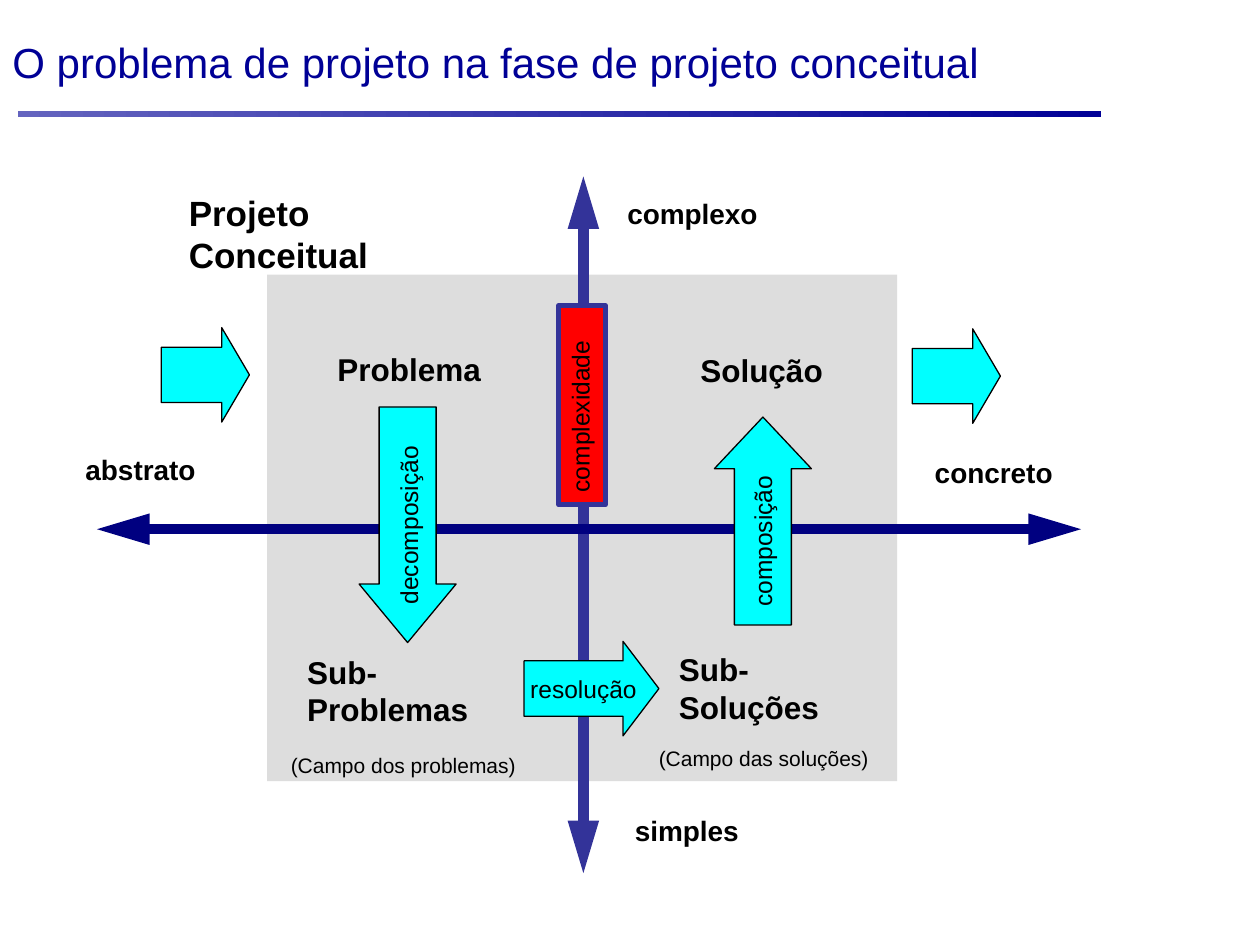
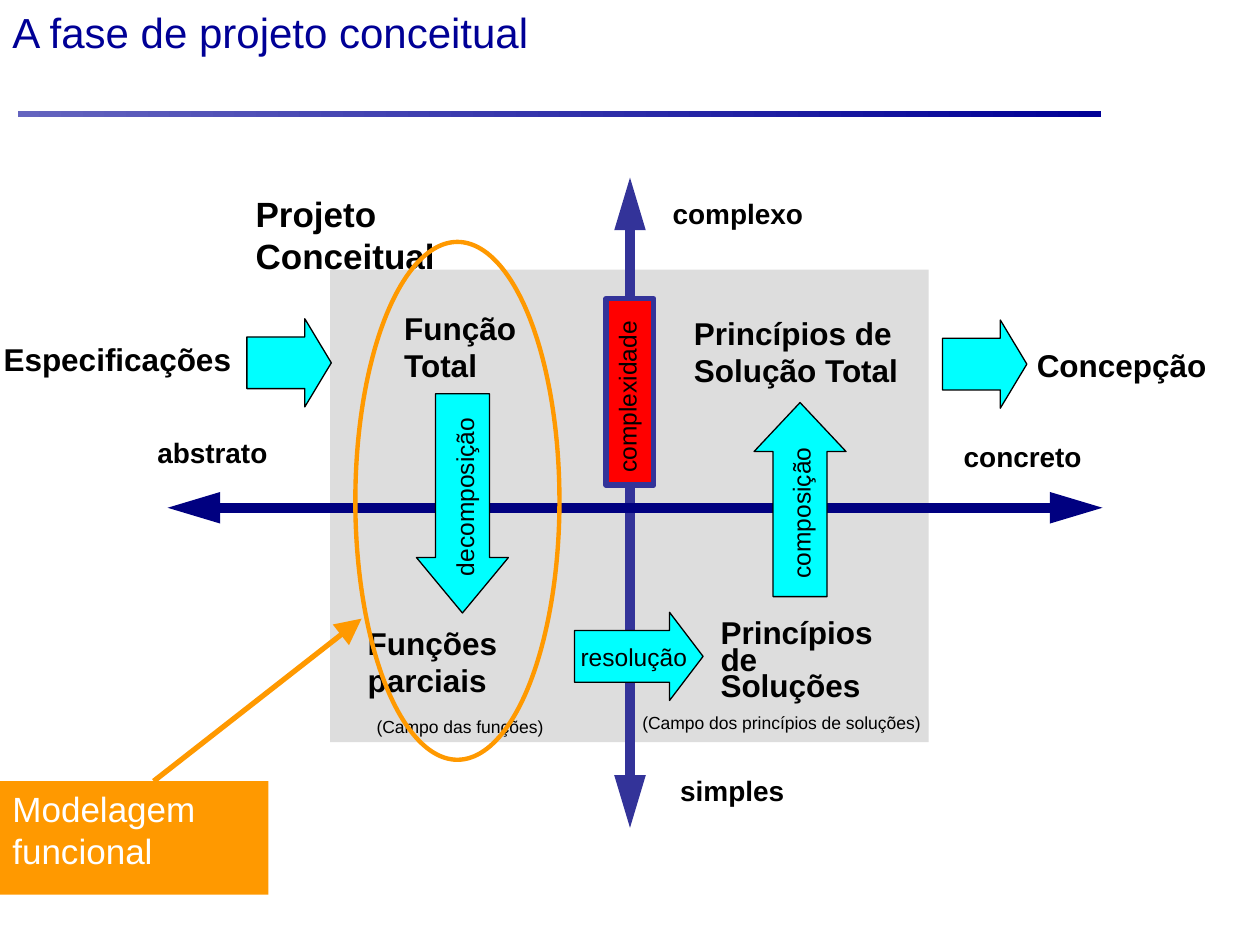
from pptx import Presentation
from pptx.util import Inches, Pt
from pptx.dml.color import RGBColor
from pptx.enum.shapes import MSO_SHAPE, MSO_CONNECTOR
from pptx.enum.text import MSO_ANCHOR, PP_ALIGN
from pptx.oxml.ns import qn
from lxml import etree

FONT = "Arial"
HUES = {
    "navy": "000096", "pale": "6464BF", "axis": "000080", "violet": "333399",
    "panel": "DDDDDD", "cyan": "00FFFF", "red": "FF0000", "orange": "FF9900",
    "black": "000000", "white": "FFFFFF",
}
INK = {name: RGBColor.from_string(code) for name, code in HUES.items()}


def put(slide, box, words="", size=18, bold=False, ink="black", kind=None,
        fill=None, edge=None, width=0.75, turn=0, space=None):
    spot = [Inches(n) for n in box]
    if kind is None:
        shape = slide.shapes.add_textbox(*spot)
    else:
        shape = slide.shapes.add_shape(kind, *spot)
        shape.shadow.inherit = False
        if fill:
            shape.fill.solid()
            shape.fill.fore_color.rgb = INK[fill]
        else:
            shape.fill.background()
        if edge:
            shape.line.color.rgb = INK[edge]
            shape.line.width = Pt(width)
        else:
            shape.line.fill.background()
    shape.rotation = turn
    if words:
        frame = shape.text_frame
        frame.word_wrap = True
        frame.vertical_anchor = MSO_ANCHOR.TOP
        para = frame.paragraphs[0]
        para.text = words
        para.alignment = PP_ALIGN.LEFT
        if space:
            para.line_spacing = space
        para.font.name = FONT
        para.font.size = Pt(size)
        para.font.bold = bold
        para.font.color.rgb = INK[ink]
    return shape


def draw(slide, start, end, hue, width, ends, breadth):
    line = slide.shapes.add_connector(
        MSO_CONNECTOR.STRAIGHT, *[Inches(n) for n in (*start, *end)])
    line.line.color.rgb = INK[hue]
    line.line.width = Pt(width)
    stroke = line.line._get_or_add_ln()
    for tag in ends:
        etree.SubElement(stroke, qn(tag), type="triangle", w=breadth, len="lg")
    etree.SubElement(line._element.spPr, qn("a:effectLst"))


BOTH = ("a:headEnd", "a:tailEnd")
RED = ("complexidade", 14)
pages = [
    {
        "title": ("O problema de projeto na fase de projeto conceitual", (0, 0.24, 8.08, 0.77)),
        "panel": (2.12, 2.18, 5, 4.02),
        "up": ((4.63, 1.4), (4.63, 6.93)),
        "across": ((0.77, 4.2), (8.58, 4.2)),
        "red": (3.83, 3.03, 1.58, 0.37),
        "arrows": [(2.3, 3.78, 1.87, 0.77), (5.23, 3.75, 1.65, 0.77), (4.16, 5.09, 1.07, 0.75),
                   (1.28, 2.6, 0.7, 0.75), (7.24, 2.61, 0.7, 0.75)],
        "verbs": [(2.43, 3.92, 1.62, 0.33), (5.27, 3.97, 1.56, 0.33), (4.11, 5.3, 1.12, 0.33)],
        "poles": [(4.88, 1.51, 1.59, 0.37), (4.94, 6.41, 1.59, 0.37),
                  (0.58, 3.54, 1.3, 0.37), (7.32, 3.57, 1.45, 0.37)],
        "head": (1.4, 1.47, 1.87, 0.64),
        "nodes": [
            ("Problema", (2.58, 2.73, 1.57, 0.4)),
            ("Solução", (5.46, 2.74, 1.39, 0.4)),
            ("Sub-Problemas", (2.34, 5.13, 1.8, 0.7)),
            ("Sub-Soluções", (5.29, 5.11, 1.6, 0.7)),
        ],
        "small": 12,
        "fields": [
            ("(Campo dos problemas)", (2.21, 5.92, 2.2, 0.3)),
            ("(Campo das soluções)", (5.13, 5.87, 2.05, 0.3)),
        ],
    },
    {
        "title": ("A fase de projeto conceitual", (0, 0, 6.44, 0.95)),
        "panel": (2.62, 2.14, 4.75, 3.75),
        "up": ((5, 1.41), (5, 6.57)),
        "across": ((1.33, 4.03), (8.75, 4.03)),
        "red": (4.26, 2.92, 1.48, 0.38),
        "arrows": [(2.8, 3.63, 1.74, 0.73), (5.58, 3.6, 1.54, 0.73), (4.56, 4.86, 1.02, 0.7),
                   (1.96, 2.53, 0.67, 0.7), (7.48, 2.54, 0.67, 0.7)],
        "verbs": [(2.93, 3.75, 1.51, 0.33), (5.63, 3.8, 1.45, 0.33), (4.51, 5.05, 1.06, 0.33)],
        "poles": [(5.24, 1.51, 1.51, 0.37), (5.3, 6.09, 1.51, 0.37),
                  (1.15, 3.41, 1.24, 0.37), (7.55, 3.44, 1.38, 0.37)],
        "head": (1.93, 1.48, 1.78, 0.64),
        "nodes": [
            ("Função Total", (3.11, 2.4, 1.16, 0.7)),
            ("Princípios de Solução Total", (5.41, 2.44, 1.9, 0.7)),
            ("Funções parciais", (2.82, 4.9, 1.71, 0.7)),
            ("Princípios de Soluções", (5.62, 4.9, 1.52, 0.73), 0.7),
            ("Especificações", (-0.07, 2.65, 2.03, 0.4)),
            ("Concepção", (8.13, 2.7, 1.59, 0.4)),
        ],
        "small": 10,
        "fields": [
            ("(Campo das funções)", (2.89, 5.63, 1.68, 0.27)),
            ("(Campo dos princípios de soluções)", (5, 5.6, 2.46, 0.27)),
        ],
    },
]
TURNS = [90, 270, 0, 0, 0]
TIPS = [(0.587, 0.603), (0.587, 0.532), (0.587, 0.38), (0.585, 0.314), (0.585, 0.314)]
VERBS = [("decomposição", 270), ("composição", 270), ("resolução", 0)]
POLES = ["complexo", "simples", "abstrato", "concreto"]

deck = Presentation()
deck.slide_width = Inches(10)
deck.slide_height = Inches(7.5)

for page in pages:
    slide = deck.slides.add_slide(deck.slide_layouts[6])
    band = put(slide, (0.14, 0.88, 8.6, 0.05), kind=MSO_SHAPE.RECTANGLE)
    band.fill.gradient()
    band.fill.gradient_angle = 0
    for stop, hue, place in zip(band.fill.gradient_stops, ("pale", "navy"), (0, 1)):
        stop.color.rgb = INK[hue]
        stop.position = place
    words, box = page["title"]
    put(slide, box, words, 24, ink="navy")

    put(slide, page["panel"], kind=MSO_SHAPE.RECTANGLE, fill="panel")
    draw(slide, *page["up"], "violet", 6, BOTH, "med")
    draw(slide, *page["across"], "axis", 6, BOTH, "med")
    put(slide, page["red"], *RED, kind=MSO_SHAPE.RECTANGLE, fill="red",
        edge="violet", width=3, turn=270)

    for box, turn, tip in zip(page["arrows"], TURNS, TIPS):
        arrow = put(slide, box, kind=MSO_SHAPE.RIGHT_ARROW, fill="cyan",
                    edge="black", turn=turn)
        arrow.adjustments[0], arrow.adjustments[1] = tip
    for box, (words, turn) in zip(page["verbs"], VERBS):
        put(slide, box, words, 14, turn=turn)
    for box, words in zip(page["poles"], POLES):
        put(slide, box, words, 16, True)
    put(slide, page["head"], "Projeto Conceitual", 20, True)
    for words, box, *space in page["nodes"]:
        put(slide, box, words, 18, True, space=space[0] if space else None)
    for words, box in page["fields"]:
        put(slide, box, words, page["small"])

put(slide, (0, 6.2, 2.13, 0.9), "Modelagem funcional", 20, ink="white",
    kind=MSO_SHAPE.RECTANGLE, fill="orange")
put(slide, (2.82, 1.92, 1.62, 4.11), kind=MSO_SHAPE.OVAL, edge="orange", width=2.5)
draw(slide, (1.22, 6.2), (2.87, 4.91), "orange", 3, ("a:tailEnd",), "lg")

deck.save("out.pptx")
